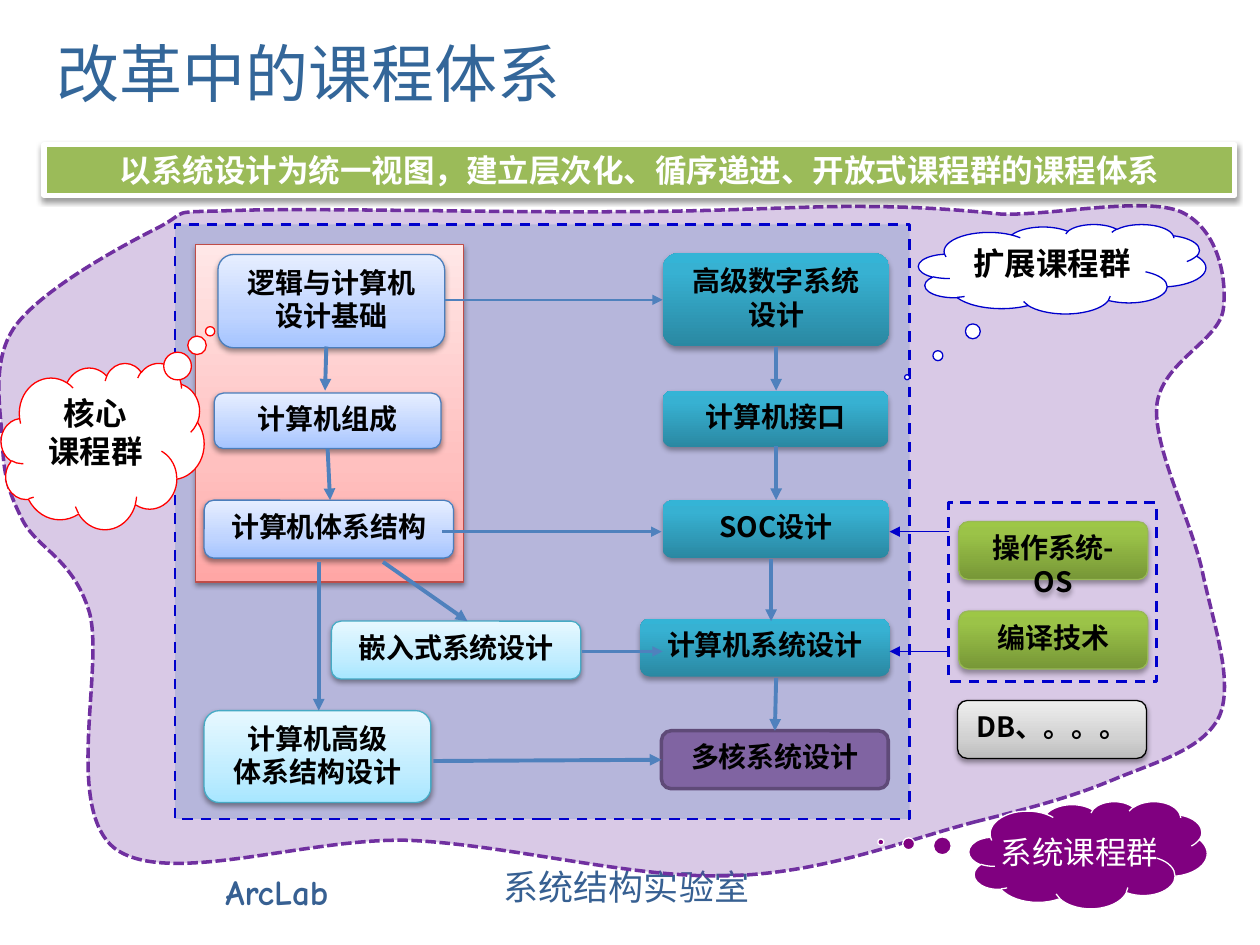
from dataclasses import dataclass

from lxml.etree import SubElement
from pptx import Presentation
from pptx.dml.color import RGBColor
from pptx.enum.dml import MSO_LINE
from pptx.enum.shapes import MSO_CONNECTOR, MSO_SHAPE
from pptx.enum.text import MSO_ANCHOR, MSO_AUTO_SIZE, PP_ALIGN
from pptx.oxml.ns import qn
from pptx.util import Pt

PX = 9144


@dataclass(frozen=True)
class Style:
    stops: tuple
    line: str | None = None
    line_width: float = 0.75
    shadow: tuple | None = (38, 20000)


@dataclass(frozen=True)
class Theme:
    cjk: str = "Noto Sans CJK SC"
    latin: str = "Calibri"
    script: str = "Comic Neue"
    title_size: int = 36
    footer_size: int = 20
    label_size: int = 18
    node_size: int = 16
    title: str = "336699"
    footer: str = "376092"
    black: str = "000000"
    white: str = "FFFFFF"
    red: str = "FF0000"
    violet: str = "7030A0"
    purple: str = "800080"
    navy: str = "0000CC"
    arrow: str = "4F81BD"
    core_panel: Style = Style(((0, "FFA6A5"), (35, "FFC0BF"), (100, "FFE7E7")), "BF4C48")
    core: Style = Style(((0, "A4C4FF"), (35, "BFD4FF"), (100, "E6EEFF")), "4B7EBC")
    elective: Style = Style(((0, "A7E6FF"), (35, "C1EDFF"), (100, "E7F8FF")), "46AAC5")
    system: Style = Style(((0, "2A88A2"), (80, "37B1D2"), (100, "34B4D6")), shadow=(35, 23000))
    support: Style = Style(((0, "779737"), (80, "9BC348"), (100, "9DC746")), "98B955", shadow=(35, 23000))
    other: Style = Style(((0, "BDBDBD"), (35, "D1D1D1"), (100, "EEEEEE")), "000000")
    multicore: Style = Style(((0, "8064A2"),), "5F4A78", 2, None)
    banner: Style = Style(((0, "9BBB59"),), "FFFFFF", 3)


THEME = Theme()


def set_fill(shape, color, alpha=None):
    shape.fill.solid()
    shape.fill.fore_color.rgb = RGBColor.from_string(color)
    if alpha:
        solid = shape.fill._xPr.find(qn("a:solidFill"))
        SubElement(solid[0], qn("a:alpha"), val=str(alpha * 1000))


def set_line(shape, color, width, dash=None):
    shape.line.color.rgb = RGBColor.from_string(color)
    shape.line.width = Pt(width)
    if dash:
        shape.line.dash_style = dash


def set_gradient(shape, stops):
    set_fill(shape, stops[0][1])
    gradient = shape.fill._xPr.find(qn("a:solidFill"))
    gradient.clear()
    gradient.tag = qn("a:gradFill")
    stop_list = SubElement(gradient, qn("a:gsLst"))
    for position, color in stops:
        stop = SubElement(stop_list, qn("a:gs"), pos=str(position * 1000))
        SubElement(stop, qn("a:srgbClr"), val=color)
    SubElement(gradient, qn("a:lin"), ang="16200000", scaled="0")


def set_shadow(shape, opacity, distance):
    effects = shape._element.spPr.find(qn("a:effectLst"))
    shadow = SubElement(effects, qn("a:outerShdw"), blurRad="40000", dist=str(distance),
                        dir="5400000", rotWithShape="0")
    color = SubElement(shadow, qn("a:srgbClr"), val=THEME.black)
    SubElement(color, qn("a:alpha"), val=str(opacity * 1000))


def set_text(shape, text, size, color, font, bold=False, align=PP_ALIGN.CENTER,
             anchor=MSO_ANCHOR.TOP, wrap=True):
    frame = shape.text_frame
    frame.word_wrap = wrap
    frame.vertical_anchor = anchor
    frame.text = text
    for paragraph in frame.paragraphs:
        paragraph.alignment = align
        for run in paragraph.runs:
            run.font.name = font
            run.font.size = Pt(size)
            run.font.bold = bold
            run.font.color.rgb = RGBColor.from_string(color)


def add_shape(slide, kind, box, place):
    left, top, width, height = place
    shape = slide.shapes.add_shape(kind, (box[0] + left) * PX, (box[1] + top) * PX,
                                   width * PX, height * PX)
    shape.shadow.inherit = False
    return shape


def add_styled(slide, kind, box, place, style):
    shape = add_shape(slide, kind, box, place)
    if len(style.stops) > 1:
        set_gradient(shape, style.stops)
    else:
        set_fill(shape, style.stops[0][1])
    if style.line:
        set_line(shape, style.line, style.line_width)
    else:
        shape.line.fill.background()
    if style.shadow:
        set_shadow(shape, *style.shadow)
    return shape


def add_node(slide, box, place, text, style):
    shape = add_styled(slide, MSO_SHAPE.ROUNDED_RECTANGLE, box, place, style)
    set_text(shape, text, THEME.node_size, THEME.black, THEME.cjk, True)


def add_arrow(slide, box, ends, color, width):
    start_x, start_y, end_x, end_y = ends
    arrow = slide.shapes.add_connector(
        MSO_CONNECTOR.STRAIGHT, (box[0] + start_x) * PX, (box[1] + start_y) * PX,
        (box[0] + end_x) * PX, (box[1] + end_y) * PX)
    set_line(arrow, color, width)
    SubElement(arrow.line._get_or_add_ln(), qn("a:tailEnd"), type="triangle")
    SubElement(arrow._element.spPr, qn("a:effectLst"))


def add_label(slide, box, text, size, color, font, **options):
    label = slide.shapes.add_textbox(*(value * PX for value in box))
    set_text(label, text, size, color, font, align=PP_ALIGN.LEFT, **options)
    return label


def add_footer(slide, box):
    left, top = box
    for place, text, font, bold, wrap in (
            ((left, top + 4, 150, 44), "ArcLab", THEME.script, True, True),
            ((left + 221, top, 218, 44), "系统结构实验室", THEME.cjk, False, False)):
        label = add_label(slide, place, text, THEME.footer_size, THEME.footer, font,
                          bold=bold, wrap=wrap)
        label.text_frame.auto_size = MSO_AUTO_SIZE.SHAPE_TO_FIT_TEXT


def add_backdrop(slide, box):
    curves = (
        (724, 505, 655, 533, 580, 535), (505, 538, 407, 511, 326, 507),
        (245, 504, 135, 544, 92, 514), (50, 483, 83, 370, 71, 326),
        (58, 283, 30, 276, 18, 253), (7, 231, 3, 218, 2, 192),
        (1, 167, -8, 127, 12, 99), (33, 70, 95, 36, 125, 21),
        (154, 6, 128, 9, 189, 7), (251, 5, 410, 9, 494, 8),
        (578, 8, 642, 3, 692, 4), (743, 4, 795, 10, 795, 10),
        (836, 11, 908, -4, 937, 8), (966, 21, 974, 59, 971, 85),
        (968, 111, 921, 127, 918, 163), (916, 198, 947, 256, 955, 297),
        (964, 338, 979, 381, 968, 408), (956, 434, 920, 444, 888, 457),
        (855, 471, 827, 479, 775, 492))
    builder = slide.shapes.build_freeform(775, 492, scale=PX)
    builder.add_line_segments([curve[i:i + 2] for curve in curves for i in (0, 2, 4)])
    shape = builder.convert_to_shape(box[0] * PX, box[1] * PX)
    segments = list(shape._element.iter(qn("a:lnTo")))
    for first, second, third in zip(segments[::3], segments[1::3], segments[2::3]):
        first.tag = qn("a:cubicBezTo")
        for segment in (second, third):
            first.append(segment[0])
            segment.getparent().remove(segment)
    shape.shadow.inherit = False
    set_fill(shape, THEME.violet, 26)
    set_line(shape, THEME.violet, 2, MSO_LINE.SQUARE_DOT)


def add_course_map(slide, box):
    panel = add_shape(slide, MSO_SHAPE.RECTANGLE, box, (0, 0, *box[2:]))
    set_fill(panel, THEME.arrow, 25)
    set_line(panel, THEME.navy, 1.5, MSO_LINE.DASH)
    add_styled(slide, MSO_SHAPE.RECTANGLE, box, (16, 16, 213, 268), THEME.core_panel)
    for place, text, style in (
            ((34, 24, 180, 74), "逻辑与计算机\n设计基础", THEME.core),
            ((31, 134, 180, 44), "计算机组成", THEME.core),
            ((23, 219, 198, 46), "计算机体系结构", THEME.core),
            ((124, 315, 198, 46), "嵌入式系统设计", THEME.elective),
            ((23, 386, 180, 73), "计算机高级\n体系结构设计", THEME.elective),
            ((387, 23, 180, 74), "高级数字系统\n设计", THEME.system),
            ((387, 132, 179, 45), "计算机接口", THEME.system),
            ((387, 219, 180, 46), "SOC设计", THEME.system),
            ((369, 313, 198, 46), "计算机系统设计", THEME.system),
            ((386, 402, 180, 46), "多核系统设计", THEME.multicore)):
        add_node(slide, box, place, text, style)
    for ends in ((120, 97, 119, 132), (121, 178, 123, 219), (165, 268, 232, 315),
                 (114, 268, 114, 386), (205, 426, 386, 425), (477, 97, 477, 132),
                 (477, 176, 477, 219), (473, 266, 473, 315), (477, 360, 476, 402)):
        add_arrow(slide, box, ends, THEME.arrow, 2.25)
    for ends in ((214, 60, 387, 60), (212, 244, 386, 244), (323, 339, 387, 339)):
        add_arrow(slide, box, ends, THEME.arrow, 1.5)


def add_support_group(slide, box):
    for y in (23, 118):
        add_arrow(slide, box, (0, y, -47, y), THEME.navy, 0.75)
    frame = add_shape(slide, MSO_SHAPE.RECTANGLE, box, (0, 0, *box[2:]))
    frame.fill.background()
    set_line(frame, THEME.navy, 1.5, MSO_LINE.DASH)
    for place, text, style in (((8, 15, 150, 46), "操作系统-OS", THEME.support),
                               ((8, 86, 150, 46), "编译技术", THEME.support),
                               ((7, 157, 150, 46), "DB、。。。", THEME.other)):
        add_node(slide, box, place, text, style)


def add_cloud(slide, box, pointer, text, fill, line, color, **options):
    cloud = add_shape(slide, MSO_SHAPE.CLOUD_CALLOUT, box, (0, 0, *box[2:]))
    for index, value in enumerate(pointer):
        cloud.adjustments[index] = value
    set_fill(cloud, fill)
    set_line(cloud, line, 0.75)
    set_text(cloud, text, THEME.label_size, color, THEME.latin, **options)


def add_header(slide, box):
    left, top, width, _ = box
    add_label(slide, (left, top, 669, 72), "改革中的课程体系", THEME.title_size,
              THEME.title, THEME.cjk, anchor=MSO_ANCHOR.MIDDLE)
    banner = add_styled(slide, MSO_SHAPE.RECTANGLE, box, (0, 94, width, 40), THEME.banner)
    set_text(banner, "以系统设计为统一视图，建立层次化、循序递进、开放式课程群的课程体系",
             THEME.label_size, THEME.white, THEME.latin, True)
    banner.text_frame.auto_size = MSO_AUTO_SIZE.SHAPE_TO_FIT_TEXT


def main():
    presentation = Presentation()
    presentation.slide_width, presentation.slide_height = 1000 * PX, 750 * PX
    slide = presentation.slides.add_slide(presentation.slide_layouts[6])
    add_footer(slide, (169, 682))
    add_backdrop(slide, (0, 160))
    add_course_map(slide, (139, 178, 583, 472))
    add_support_group(slide, (753, 399, 165, 142))
    add_cloud(slide, (1, 288, 161, 132), (0.53, -0.69), "核心\n课程群",
              THEME.white, THEME.red, THEME.black, bold=True)
    add_cloud(slide, (729, 178, 228, 71), (-0.54, 1.21), "扩展课程群",
              THEME.white, THEME.navy, THEME.black, bold=True)
    add_cloud(slide, (769, 636, 189, 85), (-0.87, -0.12), "系统课程群",
              THEME.purple, THEME.white, THEME.white, anchor=MSO_ANCHOR.MIDDLE, wrap=False)
    add_header(slide, (35, 21, 945, 134))
    presentation.save("out.pptx")


if __name__ == "__main__":
    main()
